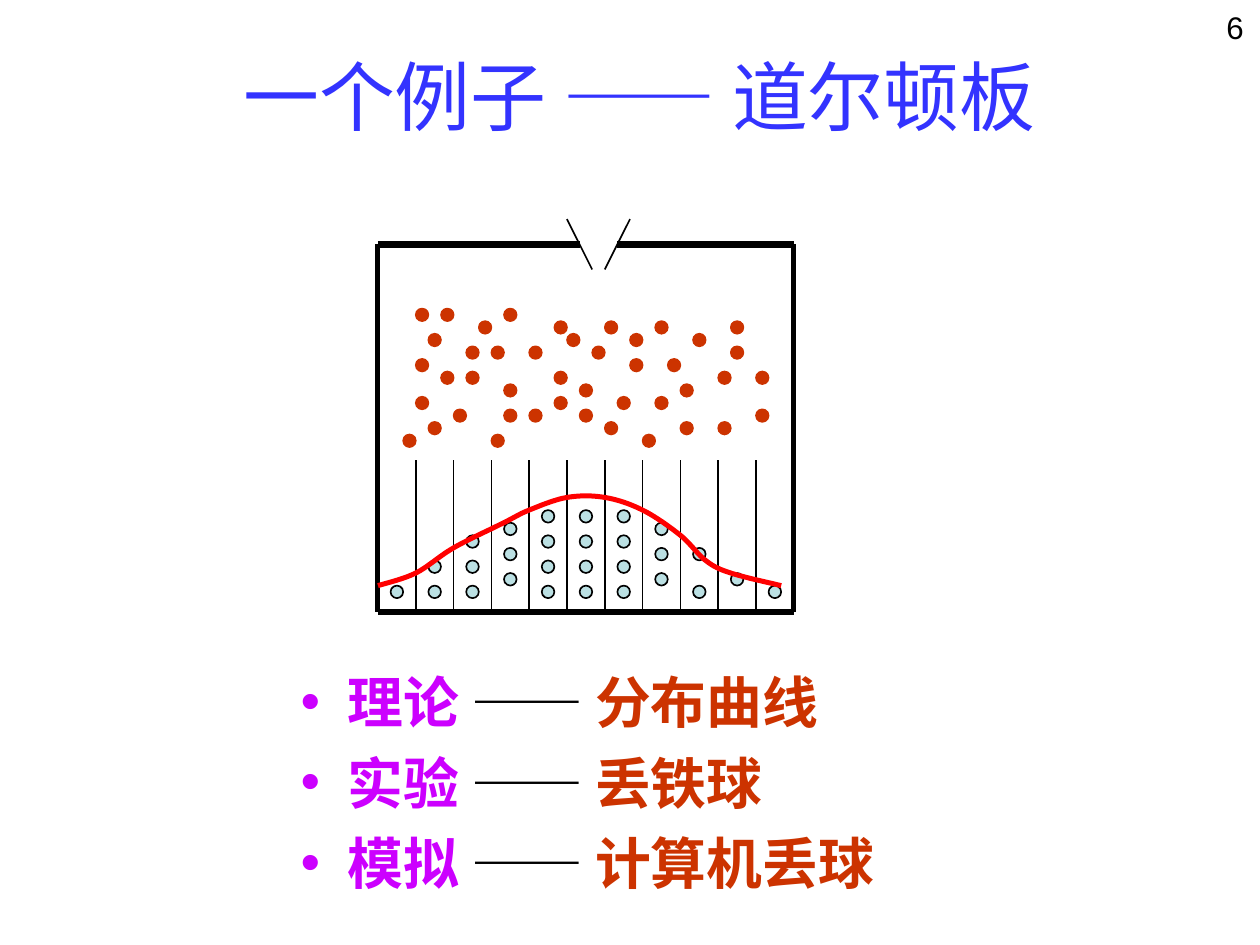
from dataclasses import dataclass

from lxml import etree
from pptx import Presentation
from pptx import util as u
from pptx.dml import color
from pptx.enum import shapes, text
from pptx.oxml import ns

WIDE, HIGH = 19.91, 14.94
UNIT = WIDE / 100  # the board sits on a grid of 100 units across
HALF = 0.5  # grid rows lie half a unit down
HAN = "Noto Sans CJK SC"
HUES = {"title": "3333FF", "key": "CC00FF", "red": "CC3300",
        "ink": "000000", "ball": "BBE0E3", "curve": "FF0000"}


@dataclass
class Box:
    left: float
    top: float
    width: float
    height: float


@dataclass
class Line:
    x1: float
    y1: float
    x2: float
    y2: float
    width: float = 0.74


@dataclass
class Item:
    key: str
    value: str


# Board data in grid units
LEFT, RIGHT, TOP, BASE = 30, 63, 19.4, 48.6
FRAME = [
    Line(LEFT, TOP, LEFT, BASE, 2.24),
    Line(RIGHT, TOP, RIGHT, BASE, 2.24),
    Line(LEFT, BASE, RIGHT, BASE, 3),
    Line(LEFT, TOP, 46, TOP, 3),
    Line(49, TOP, RIGHT, TOP, 3),
    Line(45, 17.4, 47, 21.4),
    Line(50, 17.4, 48, 21.4),
]
WALLS = [Line(x, BASE, x, 36.5) for x in range(LEFT + 3, RIGHT, 3)]
# Falling balls: row -> columns
FALL = {
    24: [33, 35, 40],
    25: [38, 44, 48, 52, 58],
    26: [34, 45, 50, 55],
    27: [37, 39, 42, 47, 58],
    28: [33, 50, 53],
    29: [35, 37, 44, 57, 60],
    30: [40, 46, 54],
    31: [33, 44, 49, 52],
    32: [36, 40, 42, 46, 60],
    33: [34, 48, 54, 57],
    34: [32, 39, 51],
}
# Rows of the balls at rest, one list for each bin
FULL = [40, 42, 44, 46]
BINS = [[46], [44, 46], [42, 44, 46], [41, 43, 45], FULL, FULL, FULL,
        [41, 43, 45], [43, 46], [45], [46]]
KNOTS = [(30, 46), (33, 45), (36, 43), (40, 41), (42, 40), (45, 39), (48, 39),
         (51, 40), (54, 42), (56, 44), (58, 45), (62, 46)]
ITEMS = [Item("理论", "分布曲线"), Item("实验", "丢铁球"), Item("模拟", "计算机丢球")]


def grid(n: float) -> int:
    return u.Cm(n * UNIT)


def rgb(name: str) -> color.RGBColor:
    return color.RGBColor.from_string(HUES[name])


def place(shape, box: Box) -> None:
    shape.left, shape.top = u.Cm(box.left), u.Cm(box.top)
    shape.width, shape.height = u.Cm(box.width), u.Cm(box.height)


def style(run, size: float, hue: str, face: str = "Arial", bold: bool = False) -> None:
    font = run.font
    font.size, font.name, font.bold = u.Pt(size), face, bold
    font.color.rgb = rgb(hue)
    etree.SubElement(run._r.get_or_add_rPr(), ns.qn("a:ea"), typeface=HAN)


def inset(frame, side: float, edge: float) -> None:
    frame.margin_left = frame.margin_right = u.Cm(side)
    frame.margin_top = frame.margin_bottom = u.Cm(edge)


def bullet(par, hue: str) -> None:
    props = par._p.get_or_add_pPr()
    props.set("marL", str(u.Cm(0.74)))
    props.set("indent", str(-u.Cm(0.74)))
    tint = etree.SubElement(props, ns.qn("a:buClr"))
    etree.SubElement(tint, ns.qn("a:srgbClr"), val=HUES[hue])
    etree.SubElement(props, ns.qn("a:buFont"), typeface="Arial")
    etree.SubElement(props, ns.qn("a:buChar"), char="•")


def ball(host, x: float, row: float, fill: str, edge: str) -> None:
    dot = host.add_shape(shapes.MSO_SHAPE.OVAL, grid(x), grid(row + HALF), grid(1), grid(1))
    dot.shadow.inherit = False
    dot.fill.solid()
    dot.fill.fore_color.rgb = rgb(fill)
    dot.line.color.rgb = rgb(edge)
    dot.line.width = u.Pt(0.74)


def draw(host, line: Line) -> None:
    link = host.add_connector(shapes.MSO_CONNECTOR.STRAIGHT, grid(line.x1), grid(line.y1),
                              grid(line.x2), grid(line.y2))
    link.line.color.rgb = rgb("ink")
    link.line.width = u.Pt(line.width)
    etree.SubElement(link._element.spPr, ns.qn("a:effectLst"))


def smooth(knots: list, steps: int = 10) -> list:
    """Points of a Catmull-Rom curve through the knots."""
    ends = [knots[0], *knots, knots[-1]]
    points = [knots[0]]
    for a, b, c, d in zip(ends, ends[1:], ends[2:], ends[3:]):
        for t in (k / steps for k in range(1, steps + 1)):
            points.append(tuple(
                q + t / 2 * (r - p + t * (2 * p - 5 * q + 4 * r - s + t * (3 * q - p - 3 * r + s)))
                for p, q, r, s in zip(a, b, c, d)))
    return points


deck = Presentation()
deck.slide_width, deck.slide_height = u.Cm(WIDE), u.Cm(HIGH)
slide = deck.slides.add_slide(deck.slide_layouts[5])

# Title
title = slide.shapes.title
place(title, Box(1.14, 0.66, 17.93, 1.68))
title.text_frame.text = "一个例子 —— 道尔顿板"
title.text_frame.vertical_anchor = text.MSO_ANCHOR.MIDDLE
inset(title.text_frame, 0.2, 0.1)
head = title.text_frame.paragraphs[0]
head.alignment = text.PP_ALIGN.CENTER
style(head.runs[0], 34, "title", HAN)

# Three ways to study the board
notes = slide.shapes.add_textbox(0, 0, 0, 0)
place(notes, Box(4.55, 10.46, 9.96, 3.99))
body = notes.text_frame
body.word_wrap = True
inset(body, 0.2, 0.1)
for i, item in enumerate(ITEMS):
    par = body.add_paragraph() if i else body.paragraphs[0]
    par.space_before, par.line_spacing = u.Pt(6.2), u.Pt(29.9)
    bullet(par, "key")
    for words, hue in ((item.key, "key"), (" —— ", "ink"), (item.value, "red")):
        run = par.add_run()
        run.text = words
        style(run, 25, hue, bold=hue != "ink")

# Falling balls
for row, cols in FALL.items():
    for x in cols:
        ball(slide.shapes, x, row, "red", "red")

# Page number
page = slide.shapes.add_textbox(0, 0, 0, 0)
place(page, Box(19.13, 0, 0.79, 0.86))
inset(page.text_frame, 0.25, 0.13)
page.text_frame.text = "6"
style(page.text_frame.paragraphs[0].runs[0], 14, "ink")

# Board with bins, balls at rest and curve
board = slide.shapes.add_group_shape().shapes
for line in FRAME + WALLS:
    draw(board, line)
for i, rows in enumerate(BINS):
    for row in rows:
        ball(board, LEFT + 1 + 3 * i, row, "ball", "ink")
trace = [(grid(x), grid(y + HALF)) for x, y in smooth(KNOTS)]
pen = board.build_freeform(*trace[0])
pen.add_line_segments(trace[1:], close=False)
curve = pen.convert_to_shape()
curve.shadow.inherit = False
curve.fill.background()
curve.line.color.rgb = rgb("curve")
curve.line.width = u.Pt(2.24)

deck.save("out.pptx")
